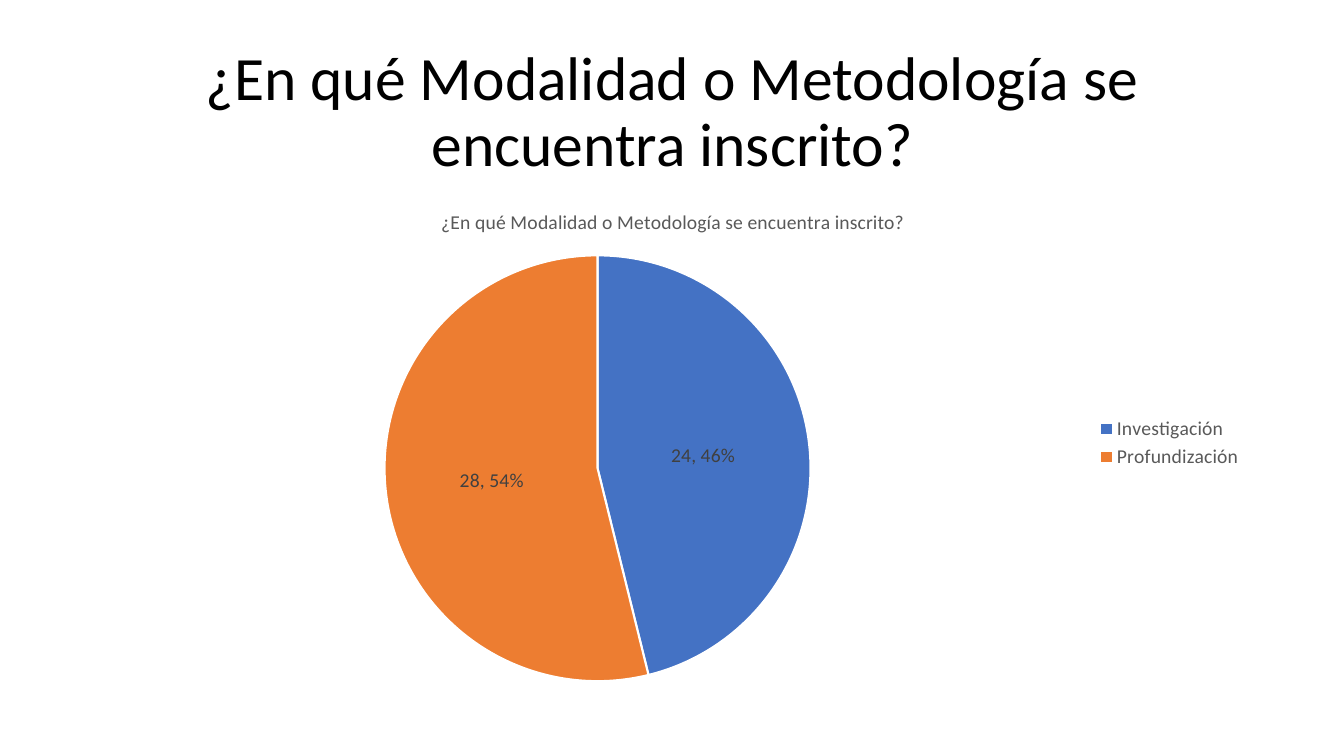
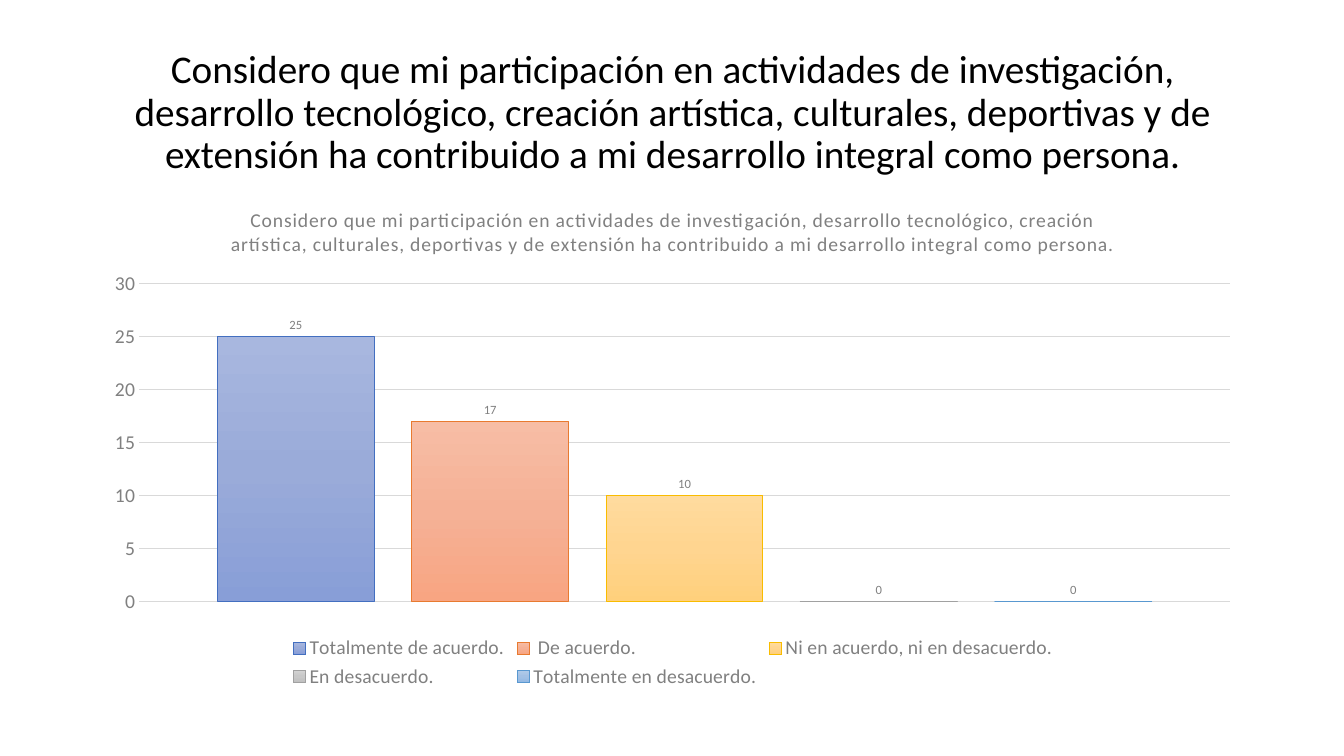
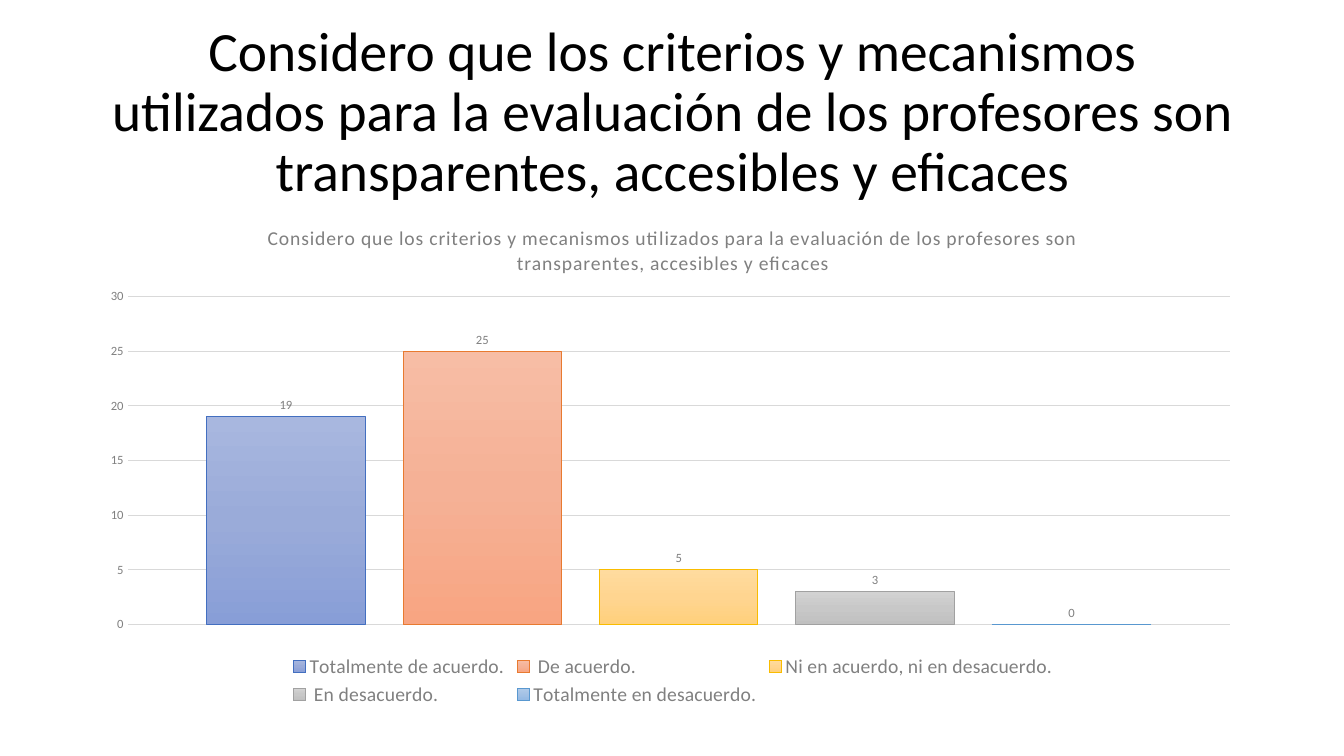
from copy import deepcopy

from lxml import etree
from pptx import Presentation
from pptx.chart import data as cd
from pptx.dml.color import RGBColor
from pptx.enum import chart as ch, text
from pptx.oxml import ns
from pptx.util import Inches, Pt

FONT = "Calibri"
BLACK = RGBColor(0x00, 0x00, 0x00)
WHITE = RGBColor(0xFF, 0xFF, 0xFF)
DARK = RGBColor(0x40, 0x40, 0x40)
SLATE = RGBColor(0x59, 0x59, 0x59)
GRAY = RGBColor(0x80, 0x80, 0x80)
GRID = RGBColor(0xD9, 0xD9, 0xD9)
BLUE = RGBColor(0x44, 0x72, 0xC4)
ORANGE = RGBColor(0xED, 0x7D, 0x31)

BAR_STYLES = [
    (("A8B7DF", "9AABD9", "889ED7"), "436FC0"),
    (("F7BDA5", "F5B196", "F8A582"), "E87A30"),
    (("FFDB9E", "FFD590", "FFD07C"), "F9BC00"),
    (("D2D2D2", "C8C8C8", "C0C0C0"), "A1A1A1"),
    (("B1CBE9", "A3C1E5", "93B9E4"), "5998D0"),
]
BAR_STYLES = [
    ([RGBColor.from_string(c) for c in fills], RGBColor.from_string(line))
    for fills, line in BAR_STYLES
]

TITLE_BOX = (0.92, 0.4, 11.5, 1.45)
MODALITY = "¿En qué Modalidad o Metodología se encuentra inscrito?"
MODALITY_COUNTS = {"Investigación": 24, "Profundización": 28}

SURVEYS = [
    {
        "question": "Considero que mi participación en actividades de investigación, "
        "desarrollo tecnológico, creación artística, culturales, deportivas y de "
        "extensión ha contribuido a mi desarrollo integral como persona.",
        "title_size": 28,
        "box": (0.92, 1.86, 11.51, 5.01),
        "plot_box": (0.04, 0.19, 0.94, 0.63),
        "axis_size": 14,
        "answers": {
            "Totalmente de acuerdo.": 25,
            " De acuerdo.": 17,
            "Ni en acuerdo, ni en desacuerdo.": 10,
            "En desacuerdo.": 0,
            "Totalmente en desacuerdo.": 0,
        },
    },
    {
        "question": "Considero que los criterios y mecanismos utilizados para la "
        "evaluación de los profesores son transparentes, accesibles y eficaces",
        "title_size": 39.6,
        "box": (0.92, 2.04, 11.51, 5.01),
        "plot_box": (0.03, 0.18, 0.95, 0.65),
        "axis_size": 9,
        "answers": {
            "Totalmente de acuerdo.": 19,
            " De acuerdo.": 25,
            "Ni en acuerdo, ni en desacuerdo.": 5,
            " En desacuerdo.": 3,
            "Totalmente en desacuerdo.": 0,
        },
    },
]


def set_attrs(obj, **values):
    for name, value in values.items():
        setattr(obj, name, value)


def set_font(font, size, color):
    set_attrs(font, name=FONT, size=Pt(size), bold=False)
    font.color.rgb = color


def add_slide(prs, title, size):
    s = prs.slides.add_slide(prs.slide_layouts[5])
    sp = s.shapes.title
    left, top, width, height = map(Inches, TITLE_BOX)
    set_attrs(sp, left=left, top=top, width=width, height=height)
    tf = sp.text_frame
    tf.text = title
    set_attrs(tf, word_wrap=True, auto_size=text.MSO_AUTO_SIZE.NONE,
              vertical_anchor=text.MSO_ANCHOR.MIDDLE)
    p = tf.paragraphs[0]
    set_attrs(p, alignment=text.PP_ALIGN.CENTER, line_spacing=0.9)
    set_font(p.runs[0].font, size, BLACK)
    return s


def set_plot_box(chart, box):
    area = chart._chartSpace.chart.plotArea
    for old in area.findall(ns.qn("c:layout")):
        area.remove(old)
    layout = etree.Element(ns.qn("c:layout"))
    manual = etree.SubElement(layout, ns.qn("c:manualLayout"))
    values = [("layoutTarget", "inner"), ("xMode", "edge"), ("yMode", "edge")]
    for tag, value in values + list(zip("xywh", box)):
        etree.SubElement(manual, ns.qn("c:" + tag)).set("val", str(value))
    area.insert(0, layout)


def add_chart(s, kind, data, box, plot_box, title, color, legend_pos, spacing=0):
    chart = s.shapes.add_chart(kind, *map(Inches, box), data).chart
    set_font(chart.font, 10, BLACK)
    set_attrs(chart, has_title=True, has_legend=True)
    tf = chart.chart_title.text_frame
    tf.text = title
    r = tf.paragraphs[0].runs[0]
    set_font(r.font, 14, color)
    r._r.get_or_add_rPr().set("spc", str(spacing))
    set_attrs(chart.legend, position=legend_pos, include_in_layout=False)
    set_font(chart.legend.font, 14, color)
    set_plot_box(chart, plot_box)
    chart.plots[0].has_data_labels = True
    return chart


def add_pie(s, box):
    data = cd.CategoryChartData()
    data.categories = list(MODALITY_COUNTS)
    data.add_series("Series 1", list(MODALITY_COUNTS.values()))
    chart = add_chart(s, ch.XL_CHART_TYPE.PIE, data, box, (0.25, 0.13, 0.37, 0.84),
                      MODALITY, SLATE, ch.XL_LEGEND_POSITION.RIGHT)
    plot = chart.plots[0]
    plot.vary_by_categories = True
    for i, color in enumerate((BLUE, ORANGE)):
        fmt = plot.series[0].points[i].format
        fmt.fill.solid()
        fmt.fill.fore_color.rgb = color
        fmt.line.color.rgb = WHITE
        fmt.line.width = Pt(1.5)
    labels = plot.data_labels
    set_attrs(labels, show_value=True, show_percentage=True,
              position=ch.XL_LABEL_POSITION.CENTER)
    set_font(labels.font, 14, DARK)
    separator = etree.Element(ns.qn("c:separator"))
    separator.text = ", "
    labels._element.find(ns.qn("c:showBubbleSize")).addnext(separator)


def style_bar(series, fills, line):
    fmt = series.format
    fmt.fill.gradient()
    fmt.fill.gradient_angle = 270
    first = series._element.find(".//" + ns.qn("a:gs"))
    first.addnext(deepcopy(first))
    for stop, color, position in zip(fmt.fill.gradient_stops, fills, (0, 0.5, 1)):
        stop.color.rgb = color
        stop.position = position
    fmt.line.color.rgb = line
    fmt.line.width = Pt(0.75)


def add_columns(s, survey):
    data = cd.CategoryChartData()
    data.categories = ["1"]
    for name, count in survey["answers"].items():
        data.add_series(name, [count])
    chart = add_chart(s, ch.XL_CHART_TYPE.COLUMN_CLUSTERED, data, survey["box"],
                      survey["plot_box"], survey["question"], GRAY,
                      ch.XL_LEGEND_POSITION.BOTTOM, spacing=50)
    plot = chart.plots[0]
    set_attrs(plot, gap_width=100, overlap=-24, vary_by_categories=False)
    set_attrs(plot.data_labels, show_value=True,
              position=ch.XL_LABEL_POSITION.OUTSIDE_END)
    set_font(plot.data_labels.font, 9, GRAY)
    for series, (fills, line) in zip(plot.series, BAR_STYLES):
        style_bar(series, fills, line)
    chart.category_axis.visible = False
    axis = chart.value_axis
    set_attrs(axis, minimum_scale=0, maximum_scale=30, major_unit=5,
              major_tick_mark=ch.XL_TICK_MARK.NONE, has_major_gridlines=True)
    set_font(axis.tick_labels.font, survey["axis_size"], GRAY)
    axis.format.line.fill.background()
    grid = axis.major_gridlines.format.line
    grid.color.rgb = GRID
    grid.width = Pt(0.75)


def main():
    prs = Presentation()
    set_attrs(prs, slide_width=Inches(13.33), slide_height=Inches(7.5))
    add_pie(add_slide(prs, MODALITY, 44), (0.92, 1.88, 11.51, 5.03))
    for survey in SURVEYS:
        add_columns(add_slide(prs, survey["question"], survey["title_size"]), survey)
    prs.save("out.pptx")


if __name__ == "__main__":
    main()
